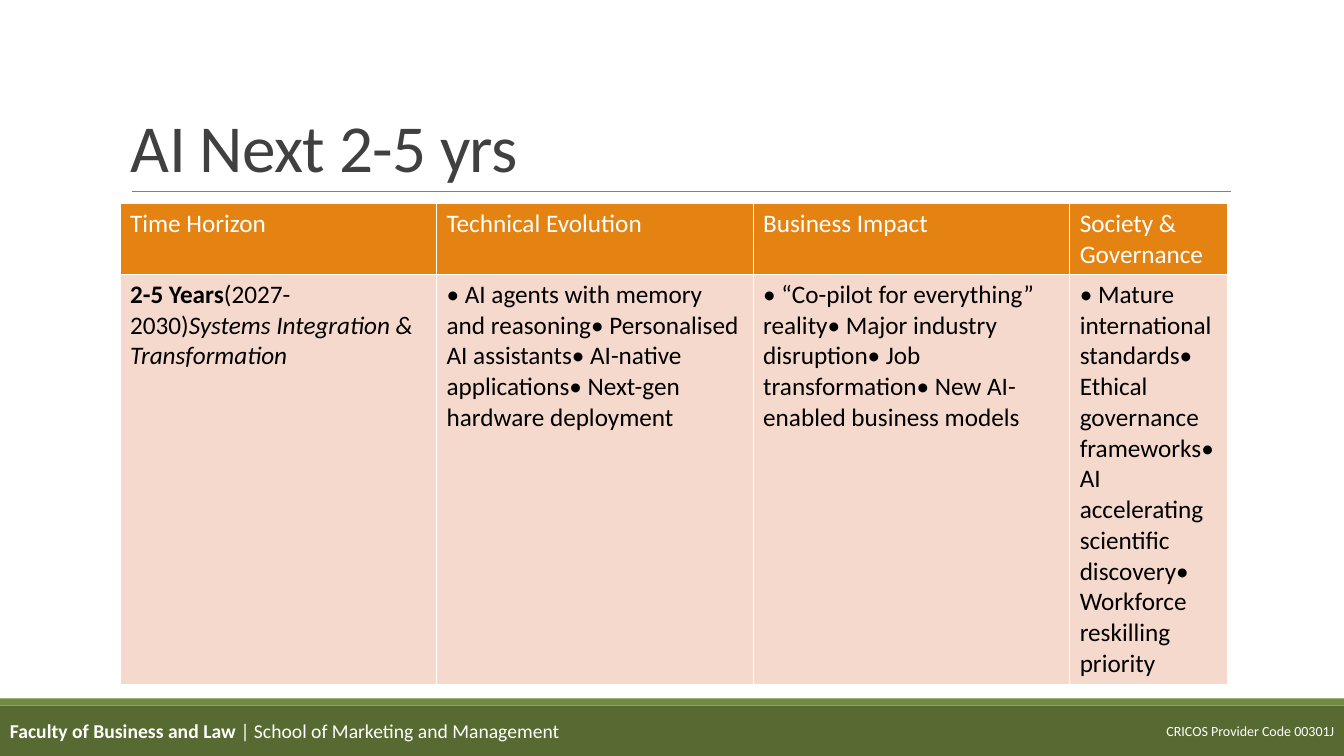
from lxml import etree
from pptx import Presentation
from pptx.dml.color import RGBColor
from pptx.enum.shapes import MSO_CONNECTOR, MSO_SHAPE
from pptx.enum.text import MSO_ANCHOR, PP_ALIGN
from pptx.oxml.ns import qn
from pptx.util import Pt

PX = 9144
FONT = "Calibri"
WHITE, BLACK, CHARCOAL, GREY = "FFFFFF", "000000", "404040", "808080"
GREEN, LIGHT_GREEN, ORANGE, PEACH = "566A31", "718C40", "E48312", "F5D9CC"
RECTANGLE, STRAIGHT = MSO_SHAPE.RECTANGLE, MSO_CONNECTOR.STRAIGHT
TOP, MIDDLE, BOTTOM = MSO_ANCHOR.TOP, MSO_ANCHOR.MIDDLE, MSO_ANCHOR.BOTTOM
LEFT, RIGHT = PP_ALIGN.LEFT, PP_ALIGN.RIGHT

COLUMN_WIDTHS = (314, 314, 314, 157)
ROW_HEIGHTS = (70, 407)
HEADINGS = ("Time Horizon", "Technical Evolution", "Business Impact", "Society & Governance")
HORIZON = (
    ("2-5 Years", True, False),
    ("(2027-2030)", False, False),
    ("Systems Integration & Transformation", False, True),
)
OUTLOOK = (
    ("AI agents with memory and reasoning", "Personalised AI assistants",
     "AI-native applications", "Next-gen hardware deployment"),
    ("“Co-pilot for everything” reality", "Major industry disruption",
     "Job transformation", "New AI-enabled business models"),
    ("Mature international standards", "Ethical governance frameworks",
     "AI accelerating scientific discovery", "Workforce reskilling priority"),
)


def px(length):
    """Turn a length in px into EMU."""
    return length * PX


def rgb(value):
    """Turn a hex string into a colour."""
    return RGBColor.from_string(value)


def plain(text):
    """Describe one run without emphasis."""
    return ((text, False, False),)


def add_runs(paragraph, runs, size, color):
    """Add runs of (text, bold, italic) to a paragraph."""
    for text, bold, italic in runs:
        run = paragraph.add_run()
        run.text = text
        font = run.font
        font.name, font.size = FONT, Pt(size)
        font.bold, font.italic = bold, italic
        font.color.rgb = rgb(color)


def add_label(slide, box, runs, size, color, anchor=TOP, align=LEFT, wrap=True):
    """Place a text box and return its paragraph."""
    frame = slide.shapes.add_textbox(*map(px, box)).text_frame
    frame.word_wrap = wrap
    frame.vertical_anchor = anchor
    paragraph = frame.paragraphs[0]
    paragraph.alignment = align
    add_runs(paragraph, runs, size, color)
    return paragraph


def add_band(slide, box, color):
    """Place a plain filled band."""
    band = slide.shapes.add_shape(RECTANGLE, *map(px, box))
    band.shadow.inherit = False
    band.fill.solid()
    band.fill.fore_color.rgb = rgb(color)
    band.line.fill.background()


def add_title(slide, left, top, width, height):
    """Place the title with the rule along its lower edge."""
    heading = add_label(slide, (left, top, width, height), plain("AI Next 2-5 yrs"),
                        48, CHARCOAL, BOTTOM)
    heading.line_spacing = 0.85
    heading.runs[0].font._element.set("spc", "-50")
    start, end, bottom = left + 11, left + width + 1, top + height
    rule = slide.shapes.add_connector(STRAIGHT, px(start), px(bottom), px(end), px(bottom))
    rule.line.color.rgb = rgb(GREY)
    rule.line.width = Pt(0.5)
    etree.SubElement(rule._element.spPr, qn("a:effectLst"))


def fill_cell(cell, runs, text_color, fill_color):
    """Give a cell its text, white borders and fill."""
    add_runs(cell.text_frame.paragraphs[0], runs, 18, text_color)
    properties = cell._tc.get_or_add_tcPr()
    for side in ("a:lnL", "a:lnR", "a:lnT", "a:lnB"):
        border = etree.SubElement(properties, qn(side), w=str(Pt(1)))
        paint = etree.SubElement(border, qn("a:solidFill"))
        etree.SubElement(paint, qn("a:srgbClr"), val=WHITE)
    cell.fill.solid()
    cell.fill.fore_color.rgb = rgb(fill_color)


def add_outlook_table(slide, left, top):
    """Place the table of headings and expected developments."""
    size = sum(COLUMN_WIDTHS), sum(ROW_HEIGHTS)
    table = slide.shapes.add_table(
        len(ROW_HEIGHTS), len(COLUMN_WIDTHS), *map(px, (left, top, *size))).table
    for column, width in zip(table.columns, COLUMN_WIDTHS):
        column.width = px(width)
    for row, height in zip(table.rows, ROW_HEIGHTS):
        row.height = px(height)
    developments = [plain("".join(f"• {point}" for point in points)) for points in OUTLOOK]
    for index, (heading, runs) in enumerate(zip(HEADINGS, [HORIZON, *developments])):
        fill_cell(table.cell(0, index), plain(heading), WHITE, ORANGE)
        fill_cell(table.cell(1, index), runs, BLACK, PEACH)


def add_footer(slide, left, top, width, height):
    """Place the green footer with the faculty and provider code."""
    add_band(slide, (left, top, width, height), GREEN)
    add_band(slide, (left, top - 7, width, 7), LIGHT_GREEN)
    add_label(slide, (left + width - 190, top + 12, 190, 27),
              plain("CRICOS Provider Code 00301J"), 10, WHITE, align=RIGHT, wrap=False)
    faculty = (("Faculty of Business and Law ", True, False),
               ("| School of Marketing and Management", False, False))
    add_label(slide, (left, top + 5, 1097, 40), faculty, 14, WHITE, MIDDLE)


def main():
    """Build and save the slide."""
    deck = Presentation()
    deck.slide_width, deck.slide_height = px(1333), px(750)
    slide = deck.slides.add_slide(deck.slide_layouts[6])
    add_footer(slide, 0, 700, 1333, 50)
    add_title(slide, 120, 31, 1100, 159)
    add_outlook_table(slide, 119, 202)
    deck.save("out.pptx")


if __name__ == "__main__":
    main()
